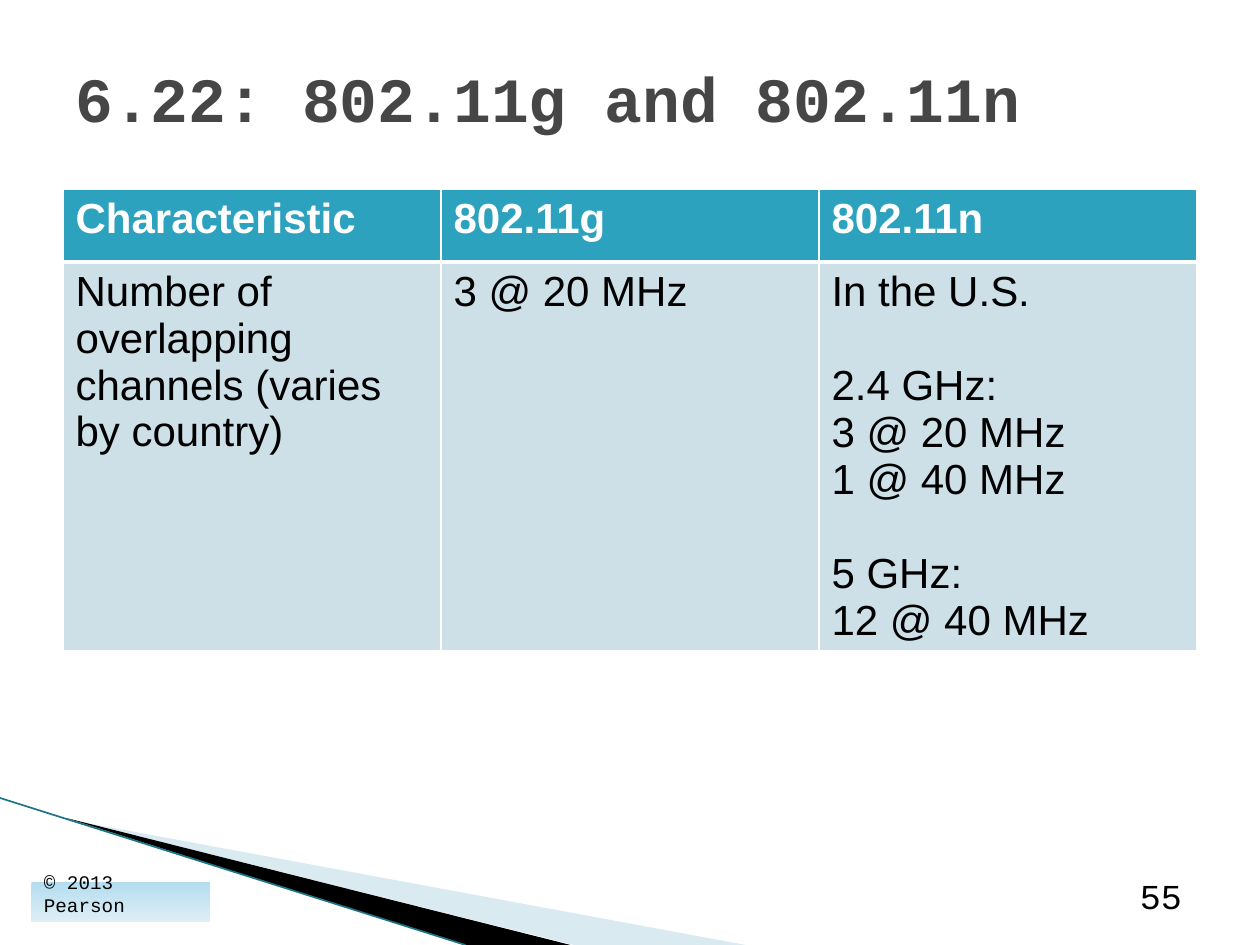
from lxml import etree
from pptx import Presentation
from pptx.dml.color import RGBColor
from pptx.enum.shapes import MSO_CONNECTOR, MSO_SHAPE
from pptx.enum.text import MSO_ANCHOR, PP_ALIGN
from pptx.oxml.ns import qn
from pptx.util import Pt

RECTANGLE = MSO_SHAPE.RECTANGLE
STRAIGHT = MSO_CONNECTOR.STRAIGHT
LEFT, RIGHT = PP_ALIGN.LEFT, PP_ALIGN.RIGHT
MIDDLE, BOTTOM = MSO_ANCHOR.MIDDLE, MSO_ANCHOR.BOTTOM


def colour(value):
    return RGBColor.from_string(value)


class SlideBuilder:
    sans, mono = "Arial", "Courier New"
    black, white, grey = "000000", "FFFFFF", "464646"
    teal, pale, wedge, edge = "2DA2BF", "CDE0E8", "A0CBDC", "1B7587"

    def __init__(self, page):
        self.page = page

    def span(self, para, text, size, font, shade, bold=False):
        run = para.add_run()
        run.text = text
        run.font.size = Pt(size)
        run.font.name = font
        run.font.bold = bold
        run.font.color.rgb = colour(shade)

    def label(self, shape, text, size, shade, anchor, align=LEFT, bold=False):
        frame = shape.text_frame
        frame.word_wrap = True
        frame.vertical_anchor = anchor
        para = frame.paragraphs[0]
        para.alignment = align
        self.span(para, text, size, self.mono, shade, bold)

    def text(self, place, *style, **options):
        box = self.page.shapes.add_textbox(*map(Pt, place))
        self.label(box, *style, **options)

    def gradient_box(self, place, top, bottom, *style):
        box = self.page.shapes.add_shape(RECTANGLE, *map(Pt, place))
        box.shadow.inherit = False
        box.line.fill.background()
        box.fill.gradient()
        box.fill.gradient_angle = 270
        for stop, shade in zip(box.fill.gradient_stops, (top, bottom)):
            stop.color.rgb = colour(shade)
        self.label(box, *style)

    def polygon(self, points, shade, opacity=100):
        start, *others = [(Pt(x), Pt(y)) for x, y in points]
        outline = self.page.shapes.build_freeform(*start)
        outline.add_line_segments(others, close=True)
        shape = outline.convert_to_shape()
        shape.shadow.inherit = False
        shape.line.fill.background()
        shape.fill.solid()
        shape.fill.fore_color.rgb = colour(shade)
        if opacity < 100:
            fill = shape.element.spPr.find(qn("a:solidFill"))
            etree.SubElement(fill[0], qn("a:alpha"), val=str(opacity * 1000))

    def line(self, start, end, shade, width):
        line = self.page.shapes.add_connector(STRAIGHT, *map(Pt, start + end))
        line.line.color.rgb = colour(shade)
        line.line.width = Pt(width)
        etree.SubElement(line.element.spPr, qn("a:effectLst"))

    def borders(self, cell, widths):
        properties = cell._tc.get_or_add_tcPr()
        for side, width in zip("LRTB", widths):
            border = etree.SubElement(properties, qn(f"a:ln{side}"), w=str(Pt(width)))
            fill = etree.SubElement(border, qn("a:solidFill"))
            etree.SubElement(fill, qn("a:srgbClr"), val=self.white)

    def cell(self, cell, groups, header):
        # Each group of lines after the first starts one line lower
        self.borders(cell, (1, 1, 1, 3) if header else (1, 1, 3, 1))
        cell.fill.solid()
        cell.fill.fore_color.rgb = colour(self.teal if header else self.pale)
        frame = cell.text_frame
        for group_number, lines in enumerate(groups):
            for line_number, text in enumerate(lines):
                first = group_number == line_number == 0
                para = frame.paragraphs[0] if first else frame.add_paragraph()
                if group_number and line_number == 0:
                    para.space_before = Pt(27)
                shade = self.white if header else self.black
                self.span(para, text, 24, self.sans, shade, header)

    def table(self, place, heights, rows):
        table = self.page.shapes.add_table(
            len(rows), len(rows[0]), *map(Pt, place)).table
        for column in table.columns:
            column.width = Pt(place[2] / len(rows[0]))
        for number, row in enumerate(rows):
            table.rows[number].height = Pt(heights[number])
            for cell, groups in zip(table.rows[number].cells, row):
                self.cell(cell, groups, header=number == 0)


def main():
    deck = Presentation()
    deck.slide_width, deck.slide_height = Pt(720), Pt(540)
    slide = SlideBuilder(deck.slides.add_slide(deck.slide_layouts[6]))

    # Corner decoration
    slide.polygon([(39.6, 468.5), (426, 540), (328, 540), (39.6, 468)],
                  slide.wedge, 40)
    slide.polygon([(38, 467.5), (326, 540), (266, 540)], slide.black)
    slide.line((0, 456), (266, 540), slide.edge, 0.95)

    # Comparison table
    slide.table((36, 108, 648, 263.5), (41.8, 221.7), [
        [[["Characteristic"]], [["802.11g"]], [["802.11n"]]],
        [[["Number of overlapping channels (varies by country)"]],
         [["3 @ 20 MHz"]],
         [["In the U.S."],
          ["2.4 GHz:", "3 @ 20 MHz", "1 @ 40 MHz"],
          ["5 GHz:", "12 @ 40 MHz"]]],
    ])

    # Footer
    slide.gradient_box((18, 504, 102, 23), "B3DDEF", "DFEFF6",
                       "© 2013 Pearson", 11, slide.black, BOTTOM)
    slide.text((618, 498, 64.5, 29), "55", 20, slide.black, BOTTOM, align=RIGHT)

    # Title
    slide.text((36, 21.6, 648, 68.4), "6.22: 802.11g and 802.11n", 36,
               slide.grey, MIDDLE, bold=True)

    deck.save("out.pptx")


if __name__ == "__main__":
    main()
